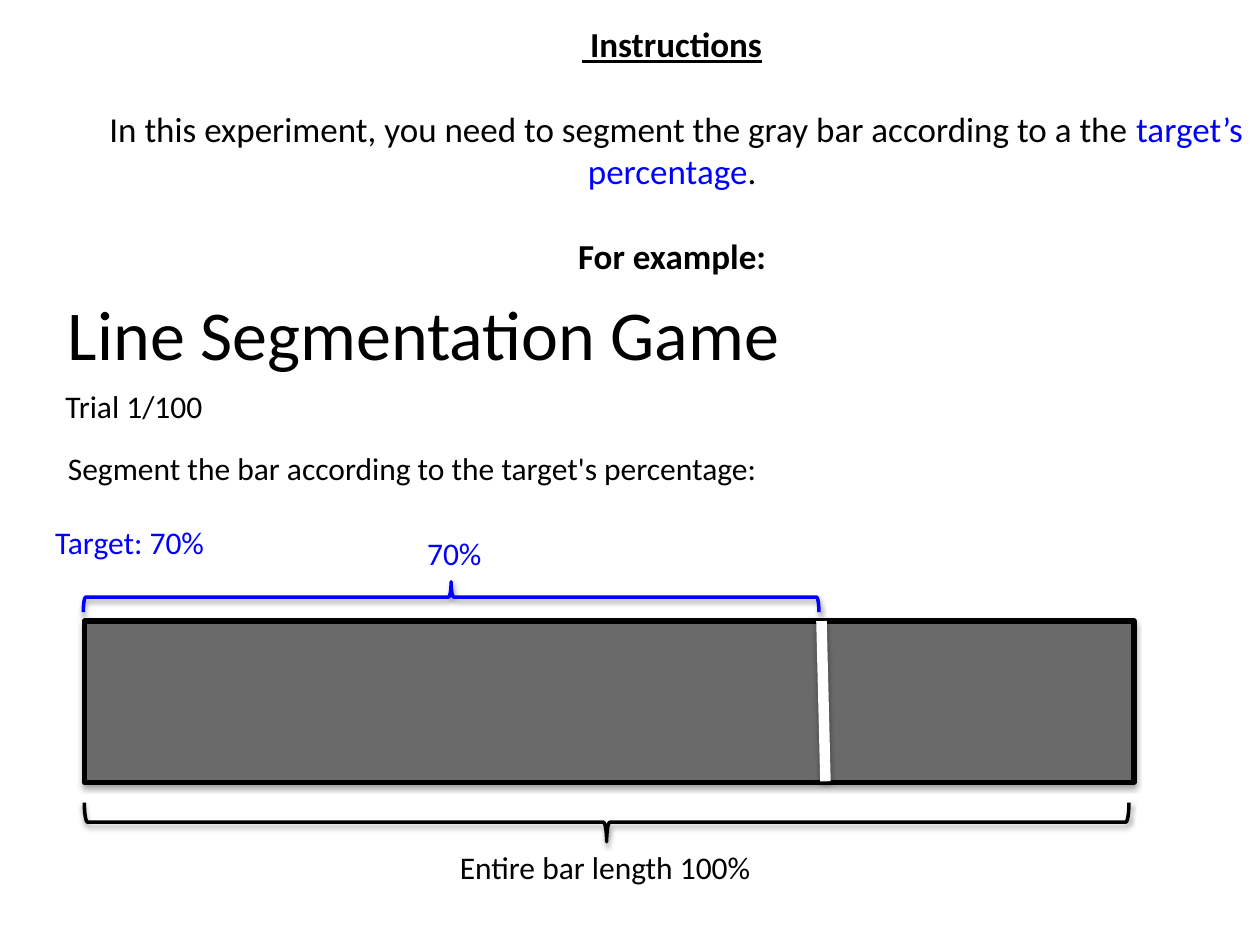
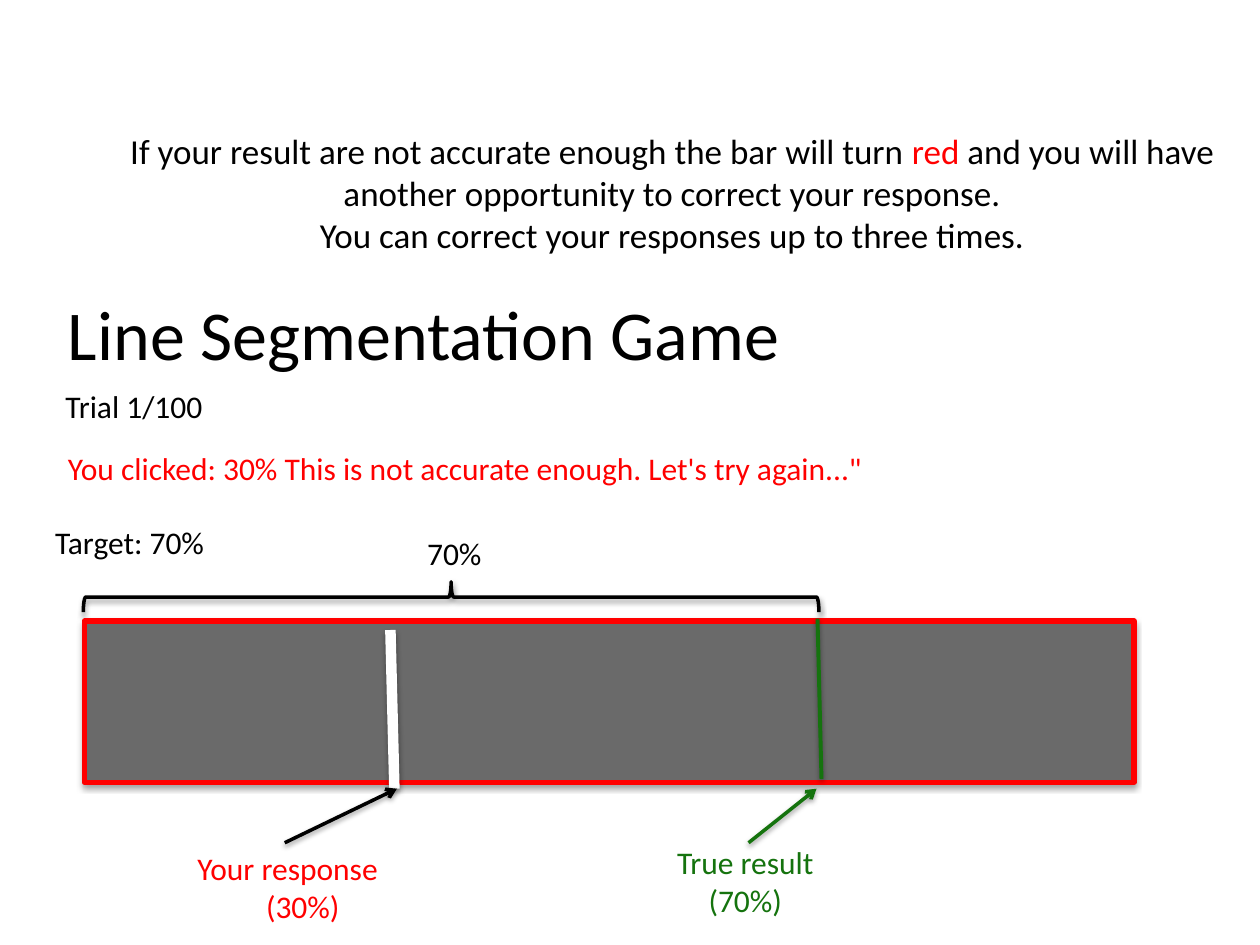
"""Build the two instruction slides of the line segmentation game."""
from pptx import Presentation
from pptx.dml.color import RGBColor
from pptx.enum.shapes import MSO_CONNECTOR as Connector, MSO_SHAPE as Shape
from pptx.enum.text import MSO_ANCHOR as Anchor, MSO_AUTO_SIZE as AutoSize, PP_ALIGN as Align
from pptx.oxml import parse_xml
from pptx.oxml.ns import nsdecls
from pptx.util import Cm, Pt

FONT = "Calibri"
BLACK, WHITE, GRAY = "000000", "FFFFFF", "6A6A6A"
BLUE, RED, GREEN = "0000FF", "FF0000", "15730E"
LEFT, CENTER = Align.LEFT, Align.CENTER

BAR = (1.7, 12.52, 21.16, 3.25)
TITLE_BOX = (1.7, 1.83, 23.7, 4.09)
HEADING_BOX = (1.12, 5.74, 15.98, 1.96)
TRIAL_BOX = (1.07, 7.67, 3.78, 1.02)
PROMPT_BOX = (1.12, 8.92, 17.07, 1.02)
TARGET_BOX = (0.86, 10.41, 17.07, 1.02)
SHARE_BOX = (8.36, 10.64, 5.08, 1.02)
SHARE_BRACE = (1.68, 11.73, 14.83, 0.61)
WHOLE_BRACE = (1.7, 16.18, 21.06, 0.79)

SLIDES = [
    {
        "title": [
            [(" Instructions", BLACK, {"bold": True, "underline": True})],
            [(" In this experiment, you need to segment the gray bar according to a the ", BLACK, {}),
             ("target’s percentage", BLUE, {}), (".", BLACK, {})],
            [("For example:", BLACK, {"bold": True})],
        ],
        "paragraph_gap": 24.4,
        "bottom_inset": 1.85,
        "prompt": ("Segment the bar according to the target's percentage:", BLACK),
        "target_color": BLUE,
        "share_color": BLUE,
        "border": BLACK,
        "whole_brace": True,
        "captions": [((9.02, 16.97, 7.87, 1.02), BLACK, [("Entire bar length 100%", LEFT)])],
        "markers": [((16.56, 12.52), (16.64, 15.75), WHITE, 6)],
        "arrows": [],
    },
    {
        "title": [
            [("If your result are not accurate enough the bar will turn ", BLACK, {}), ("red", RED, {}),
             (" and you will have another opportunity to correct your response.", BLACK, {})],
            [("You can correct your responses up to three times.", BLACK, {})],
        ],
        "paragraph_gap": 0,
        "bottom_inset": 0.13,
        "prompt": ("You clicked: 30% This is not accurate enough. Let's try again...\"", RED),
        "target_color": BLACK,
        "share_color": BLACK,
        "border": RED,
        "whole_brace": False,
        "captions": [
            ((12.65, 16.87, 4.75, 1.8), GREEN, [("True result (70%)", CENTER)]),
            ((3.73, 16.99, 4.75, 1.8), RED, [("Your response", LEFT), ("(30%)", CENTER)]),
        ],
        "markers": [((7.87, 12.7), (7.95, 15.9), WHITE, 6),
                    ((16.48, 12.47), (16.56, 15.7), GREEN, 2.25)],
        "arrows": [((5.74, 16.99), (8, 15.9), BLACK, 2),
                   ((15.09, 16.99), (16.46, 15.9), GREEN, 2)],
    },
]


def color(hex_code):
    return RGBColor.from_string(hex_code)


def lengths(values):
    return [Cm(value) for value in values]


def apply(target, formats):
    for attribute, value in formats.items():
        setattr(target, attribute, value)


def add_run(paragraph, text, hex_code, size, **formats):
    run = paragraph.add_run()
    run.text = text
    apply(run.font, {"name": FONT, "size": Pt(size), **formats})
    run.font.color.rgb = color(hex_code)


def draw_line(item, hex_code, width):
    item.line.color.rgb = color(hex_code)
    item.line.width = Pt(width)


def cast_shadow(item, distance=1.6, opacity=38):
    properties = item._element.spPr
    properties.append(parse_xml(
        f'<a:effectLst {nsdecls("a")}><a:outerShdw blurRad="{Pt(3.1)}" dist="{Pt(distance)}" '
        f'dir="5400000" rotWithShape="0"><a:srgbClr val="{BLACK}"><a:alpha val="{opacity * 1000}"/>'
        '</a:srgbClr></a:outerShdw></a:effectLst>'))


def add_title(slide, content):
    title = slide.shapes.title
    apply(title, dict(zip(("left", "top", "width", "height"), lengths(TITLE_BOX))))
    frame = title.text_frame
    apply(frame, {"auto_size": AutoSize.NONE, "word_wrap": True, "vertical_anchor": Anchor.MIDDLE,
                  "margin_bottom": Cm(content["bottom_inset"])})
    for index, runs in enumerate(content["title"]):
        paragraph = frame.add_paragraph() if index else frame.paragraphs[0]
        gap = Pt(content["paragraph_gap"] if index else 0)
        apply(paragraph, {"alignment": CENTER, "space_before": gap})
        for text, hex_code, formats in runs:
            add_run(paragraph, text, hex_code, 20, **formats)


def add_text(slide, box, hex_code, lines, size=18):
    frame = slide.shapes.add_textbox(*lengths(box)).text_frame
    apply(frame, {"word_wrap": True, "auto_size": AutoSize.SHAPE_TO_FIT_TEXT})
    for index, (text, alignment) in enumerate(lines):
        paragraph = frame.add_paragraph() if index else frame.paragraphs[0]
        paragraph.alignment = alignment
        add_run(paragraph, text, hex_code, size)


def add_brace(slide, span, hex_code, points_down=False):
    left, top, width, depth = span
    box = (left + (width - depth) / 2, top - (width - depth) / 2, depth, width)
    brace = slide.shapes.add_shape(Shape.RIGHT_BRACE, *lengths(box))
    brace.rotation = 270
    if points_down:
        brace._element.spPr.xfrm.set("flipH", "1")
    brace.fill.background()
    draw_line(brace, hex_code, 2)
    cast_shadow(brace)


def add_bar(slide, border):
    bar = slide.shapes.add_shape(Shape.RECTANGLE, *lengths(BAR))
    bar.fill.solid()
    bar.fill.fore_color.rgb = color(GRAY)
    draw_line(bar, border, 3)
    cast_shadow(bar, distance=1.8, opacity=35)


def add_stroke(slide, start, end, hex_code, width, arrow=False):
    stroke = slide.shapes.add_connector(Connector.STRAIGHT, *lengths(start + end))
    draw_line(stroke, hex_code, width)
    if arrow:
        stroke.line._get_or_add_ln().append(parse_xml(f'<a:tailEnd {nsdecls("a")} type="arrow"/>'))
    cast_shadow(stroke)


def build_slide(deck, content):
    slide = deck.slides.add_slide(deck.slide_layouts[5])
    add_title(slide, content)
    prompt, prompt_color = content["prompt"]
    add_text(slide, HEADING_BOX, BLACK, [("Line Segmentation Game", LEFT)], size=40)
    add_text(slide, TRIAL_BOX, BLACK, [("Trial 1/100", LEFT)])
    add_text(slide, PROMPT_BOX, prompt_color, [(prompt, LEFT)])
    add_text(slide, TARGET_BOX, content["target_color"], [("Target: 70%", LEFT)])
    add_brace(slide, SHARE_BRACE, content["share_color"])
    if content["whole_brace"]:
        add_brace(slide, WHOLE_BRACE, BLACK, points_down=True)
    add_bar(slide, content["border"])
    add_text(slide, SHARE_BOX, content["share_color"], [("70%", LEFT)])
    for marker in content["markers"]:
        add_stroke(slide, *marker)
    for caption in content["captions"]:
        add_text(slide, *caption)
    for arrow in content["arrows"]:
        add_stroke(slide, *arrow, arrow=True)


deck = Presentation()
apply(deck, {"slide_width": Cm(25.4), "slide_height": Cm(19.05)})
for slide_content in SLIDES:
    build_slide(deck, slide_content)
deck.save("out.pptx")
